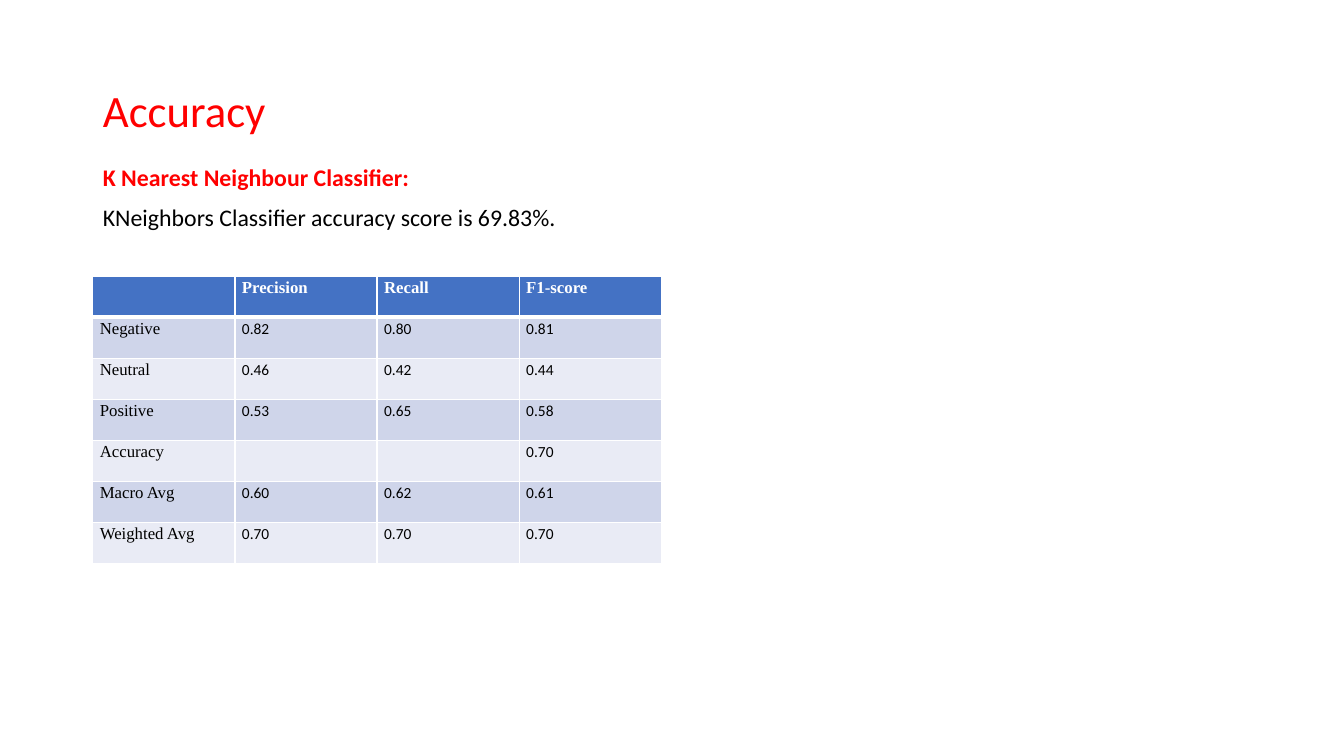
from dataclasses import dataclass

from lxml.etree import SubElement
from pptx import Presentation
from pptx.dml.color import RGBColor as RGB
from pptx.enum.text import MSO_ANCHOR as ANCHOR, MSO_AUTO_SIZE as AUTO_SIZE, PP_ALIGN as ALIGN
from pptx.oxml.ns import qn
from pptx.util import Inches, Pt


@dataclass(frozen=True)
class TextStyle:
    font: str
    size: float
    color: str
    bold: bool = False


@dataclass(frozen=True)
class Theme:
    title: TextStyle = TextStyle("Calibri", 32, "FF0000")
    heading: TextStyle = TextStyle("Calibri", 17, "FF0000", True)
    body: TextStyle = TextStyle("Calibri", 17, "000000")
    header: TextStyle = TextStyle("Times New Roman", 12, "FFFFFF", True)
    label: TextStyle = TextStyle("Times New Roman", 12, "000000")
    value: TextStyle = TextStyle("Calibri", 11, "000000")
    header_fill: str = "4472C4"
    bands: tuple[str, str] = ("CFD5EA", "E9EBF5")
    border: str = "FFFFFF"


@dataclass(frozen=True)
class Box:
    left: float
    top: float
    width: float
    height: float


@dataclass(frozen=True)
class ScoreRow:
    label: str
    precision: str
    recall: str
    f1: str

    def texts(self) -> tuple[str, str, str, str]:
        return self.label, self.precision, self.recall, self.f1


THEME = Theme()
ROW_HEIGHT = 0.407
SCORES = [
    ScoreRow("", "Precision", "Recall", "F1-score"),
    ScoreRow("Negative", "0.82", "0.80", "0.81"),
    ScoreRow("Neutral", "0.46", "0.42", "0.44"),
    ScoreRow("Positive", "0.53", "0.65", "0.58"),
    ScoreRow("Accuracy", "", "", "0.70"),
    ScoreRow("Macro Avg", "0.60", "0.62", "0.61"),
    ScoreRow("Weighted Avg", "0.70", "0.70", "0.70"),
]


def style_paragraph(p, style: TextStyle, line: float, before: float = 0, after: float = 0) -> None:
    p.alignment = ALIGN.LEFT
    p.line_spacing = line
    p.space_before, p.space_after = Pt(before), Pt(after)
    p.font.name, p.font.size, p.font.bold = style.font, Pt(style.size), style.bold
    p.font.color.rgb = RGB.from_string(style.color)


def fill_placeholder(sp, box: Box, anchor: ANCHOR, lines: list[tuple[str, TextStyle]], before: float) -> None:
    sp.left, sp.top = Inches(box.left), Inches(box.top)
    sp.width, sp.height = Inches(box.width), Inches(box.height)
    tf = sp.text_frame
    tf.word_wrap, tf.auto_size, tf.vertical_anchor = True, AUTO_SIZE.NONE, anchor
    tf.text = "\n".join(text for text, _ in lines)
    for p, (_, style) in zip(tf.paragraphs, lines):
        style_paragraph(p, style, 0.9, before)


def set_borders(cell, top: float, bottom: float) -> None:
    tc_pr = cell._tc.get_or_add_tcPr()
    for side, width in (("L", 1), ("R", 1), ("T", top), ("B", bottom)):
        ln = SubElement(tc_pr, qn(f"a:ln{side}"), w=str(Pt(width)))
        SubElement(SubElement(ln, qn("a:solidFill")), qn("a:srgbClr"), val=THEME.border)


def fill_cell(cell, text: str, row: int, col: int) -> None:
    set_borders(cell, 3 if row == 1 else 1, 3 if row == 0 else 1)
    cell.fill.solid()
    color = THEME.bands[(row - 1) % 2] if row else THEME.header_fill
    cell.fill.fore_color.rgb = RGB.from_string(color)
    cell.margin_left = cell.margin_right = Inches(0.07)
    cell.margin_top = cell.margin_bottom = 0
    cell.text = text
    style = THEME.header if row == 0 else THEME.value if col else THEME.label
    style_paragraph(cell.text_frame.paragraphs[0], style, 1.15, after=10)


def add_scores(s, left: float, top: float, width: float) -> None:
    table = s.shapes.add_table(
        len(SCORES), 4, Inches(left), Inches(top), Inches(width), Inches(ROW_HEIGHT * len(SCORES))
    ).table
    for row, score in enumerate(SCORES):
        for col, text in enumerate(score.texts()):
            fill_cell(table.cell(row, col), text, row, col)


prs = Presentation()
prs.slide_width, prs.slide_height = Inches(13.33), Inches(7.5)
s = prs.slides.add_slide(prs.slide_layouts.get_by_name("Comparison"))
title, body, *unused = s.placeholders
for sp in unused:
    sp.element.getparent().remove(sp.element)

fill_placeholder(title, Box(0.92, 0.4, 11.5, 1.45), ANCHOR.MIDDLE, [("Accuracy", THEME.title)], 0)
fill_placeholder(
    body,
    Box(0.92, 1.84, 5.64, 0.9),
    ANCHOR.BOTTOM,
    [
        ("K Nearest Neighbour Classifier:", THEME.heading),
        ("KNeighbors Classifier accuracy score is 69.83%.", THEME.body),
    ],
    10,
)
body.text_frame.margin_bottom = Inches(0.44)
add_scores(s, 0.92, 2.74, 5.64)
prs.save("out.pptx")
